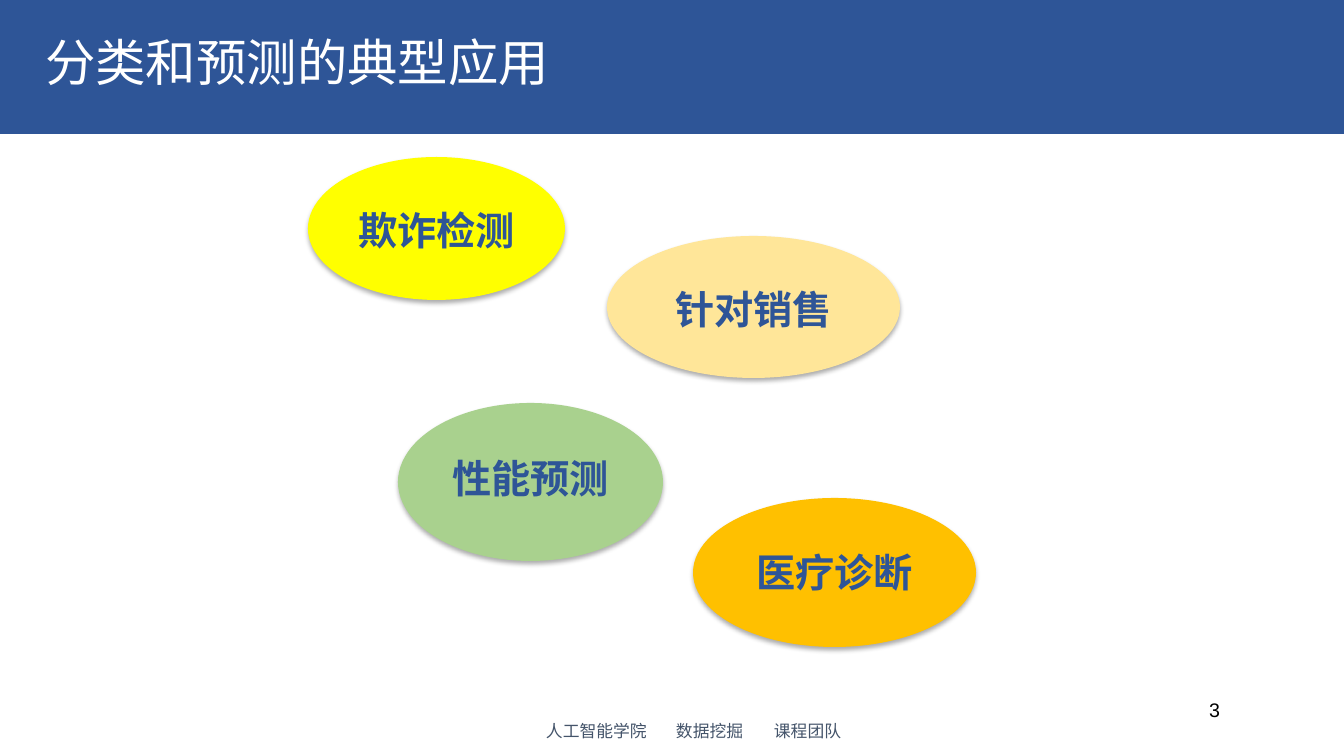
from lxml import etree
from pptx import Presentation
from pptx.dml.color import RGBColor
from pptx.enum.shapes import MSO_SHAPE as Shape
from pptx.enum.text import MSO_ANCHOR as Anchor, PP_ALIGN as Align
from pptx.oxml import parse_xml
from pptx.oxml.ns import nsdecls, qn
from pptx.util import Pt

PX = 914400 / 100.8
BLUE = RGBColor(0x2E, 0x55, 0x97)
WHITE = RGBColor(0xFF, 0xFF, 0xFF)
BLACK = RGBColor(0, 0, 0)
SLATE = RGBColor(0x44, 0x54, 0x6A)
YELLOW = RGBColor(0xFF, 0xFF, 0)
GREEN = RGBColor(0xA9, 0xD1, 0x8E)
ORANGE = RGBColor(0xFF, 0xC0, 0)
CREAM = RGBColor(0xFF, 0xE6, 0x99)

SHADOW = f"""<a:effectLst {nsdecls('a')}>
  <a:outerShdw blurRad="44450" dist="27940" dir="5400000" algn="ctr" rotWithShape="0">
    <a:srgbClr val="000000"><a:alpha val="32000"/></a:srgbClr>
  </a:outerShdw>
</a:effectLst>"""


def px(*lengths):
    return [round(length * PX) for length in lengths]


def write(shape, text, color, anchor, paragraph_format, font_format):
    """Fill the shape with one formatted paragraph and return the paragraph."""
    frame = shape.text_frame
    frame.word_wrap = True
    frame.vertical_anchor = anchor
    paragraph = frame.paragraphs[0]
    paragraph.text = text
    for name, value in paragraph_format.items():
        setattr(paragraph, name, value)
    font = paragraph.runs[0].font
    for name, value in font_format.items():
        setattr(font, name, value)
    font.color.rgb = color
    return paragraph


presentation = Presentation()
presentation.slide_width, presentation.slide_height = px(1344, 756)
slide = presentation.slides.add_slide(presentation.slide_layouts[5])
shapes = slide.shapes

# Title on its band
title = shapes.title
title.left, title.top, title.width, title.height = px(35, 15, 1142, 101)
write(title, "分类和预测的典型应用", WHITE, Anchor.MIDDLE,
      {"alignment": Align.LEFT, "line_spacing": 0.9},
      {"name": "Arial", "size": Pt(36)})

band = shapes.add_shape(Shape.RECTANGLE, *px(-3, -1, 1352, 135))
band.shadow.inherit = False
band.fill.solid()
band.fill.fore_color.rgb = BLUE
band.line.fill.background()
title.element.addprevious(band.element)

# Applications
applications = [
    ("欺诈检测", YELLOW, (308, 157, 257, 143)),
    ("性能预测", GREEN, (398, 403, 265, 158)),
    ("医疗诊断", ORANGE, (693, 498, 283, 149)),
    ("针对销售", CREAM, (607, 236, 293, 142)),
]
for text, color, box in applications:
    ellipse = shapes.add_shape(Shape.OVAL, *px(*box))
    ellipse.fill.solid()
    ellipse.fill.fore_color.rgb = color
    ellipse.line.fill.background()
    ellipse.element.spPr.append(parse_xml(SHADOW))
    write(ellipse, text, BLUE, Anchor.TOP,
          {"alignment": Align.CENTER, "line_spacing": 1.5},
          {"name": "Calibri", "size": Pt(28), "bold": True})

# Slide number and footer
number = shapes.add_textbox(*px(928, 690, 302, 40))
write(number, "3", BLACK, Anchor.MIDDLE, {"alignment": Align.RIGHT},
      {"name": "Arial", "size": Pt(14)})

footer = shapes.add_textbox(*px(467, 711, 454, 40))
footer.text_frame.margin_left = px(79)[0]
paragraph = write(footer, "人工智能学院\t数据挖掘\t课程团队", SLATE, Anchor.MIDDLE,
                  {"alignment": Align.LEFT}, {"name": "Calibri", "size": Pt(12)})
tab_list = etree.SubElement(paragraph._p.get_or_add_pPr(), qn("a:tabLst"))
for position in px(130, 228):
    etree.SubElement(tab_list, qn("a:tab"), pos=str(position), algn="l")

presentation.save("out.pptx")
